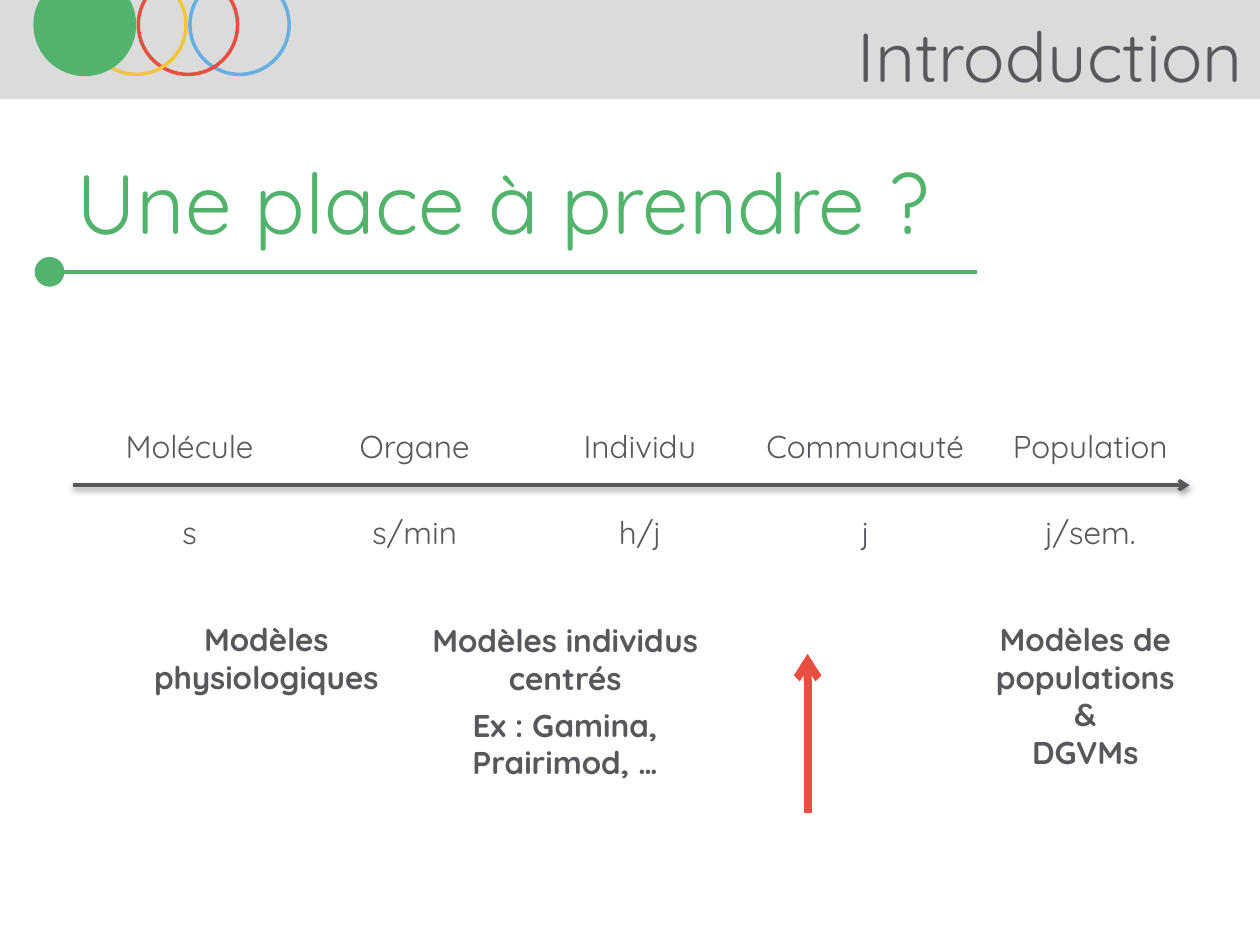
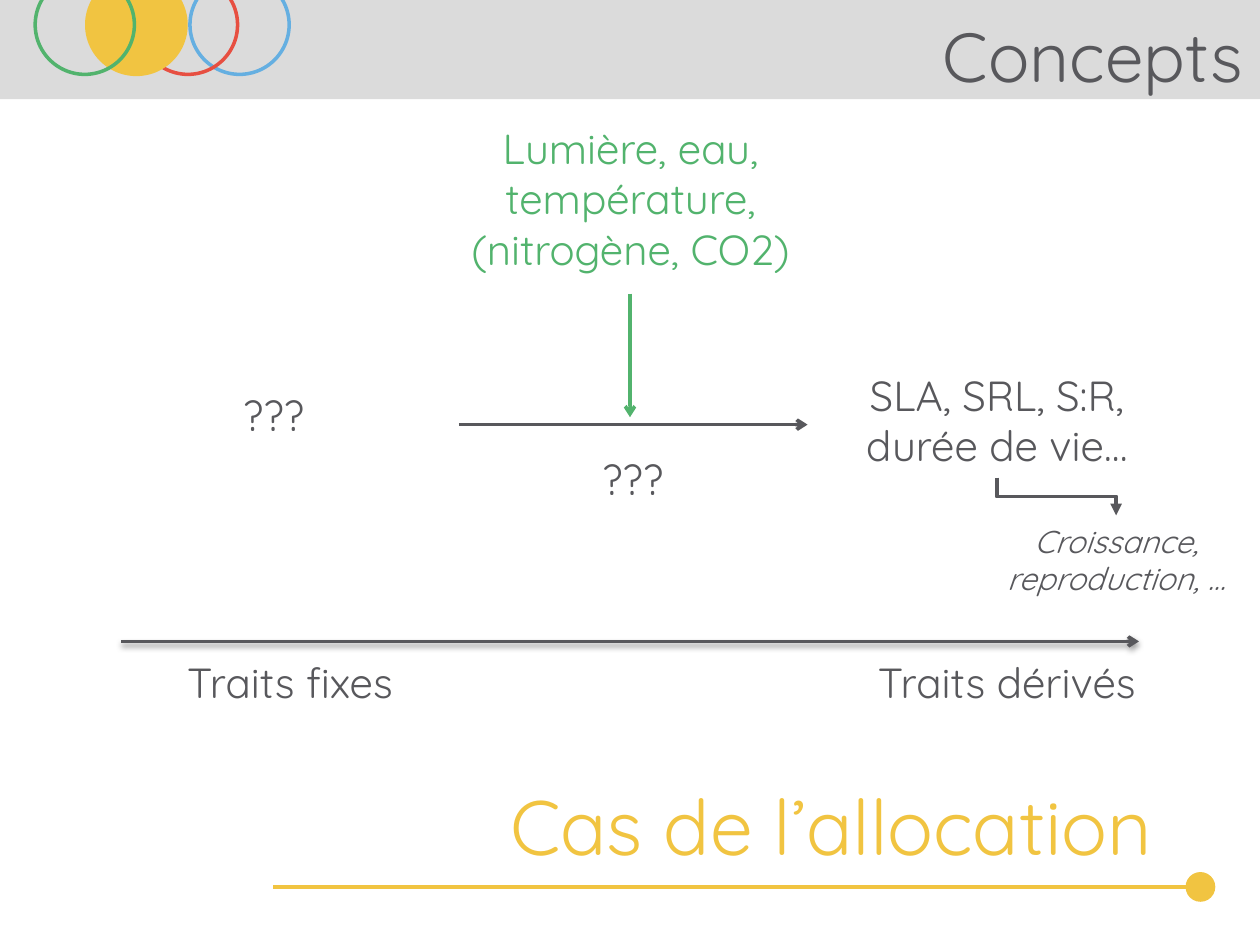
from dataclasses import dataclass

from lxml import etree
from pptx import Presentation
from pptx import util as u
from pptx.dml.color import RGBColor
from pptx.enum import shapes, text
from pptx.oxml import ns

# Shared style
FONT = "Quicksand"
WHITE = RGBColor(0xFF, 0xFF, 0xFF)
BAND_GREY = RGBColor(0xDB, 0xDB, 0xDB)
INK = RGBColor(0x58, 0x58, 0x5C)
GREEN = RGBColor(0x52, 0xB3, 0x6D)
YELLOW = RGBColor(0xF1, 0xC4, 0x41)
RED = RGBColor(0xE7, 0x4F, 0x41)
BLUE = RGBColor(0x65, 0xAF, 0xE1)
SECTION_COLOURS = (GREEN, YELLOW, RED, BLUE)

SLIDE_WIDTH, SLIDE_HEIGHT = 25.4, 19.05
CIRCLE_LEFT, CIRCLE_PITCH, CIRCLE_SIZE = 0.71, 1.04, 2.0
DOT_SIZE = 0.6

LEFT, CENTRE, RIGHT = text.PP_ALIGN.LEFT, text.PP_ALIGN.CENTER, text.PP_ALIGN.RIGHT


# All positions below are in centimetres
@dataclass(frozen=True)
class Label:
    words: str
    left: float
    top: float
    width: float
    height: float
    size: float = 24
    colour: RGBColor = INK
    bold: bool = False
    italic: bool = False


@dataclass(frozen=True)
class Arrow:
    start: tuple[float, float]
    end: tuple[float, float]
    colour: RGBColor = INK
    weight: float = 2
    head: str | None = "arrow"
    shadow: bool = False


@dataclass(frozen=True)
class Stage:
    name: str
    name_width: float
    timescale: str
    timescale_width: float


def add_text(slide, words: str, left: float, top: float, width: float, height: float, *,
             size: float = 24, colour: RGBColor = INK, bold: bool = False,
             italic: bool = False, align=CENTRE, anchor=text.MSO_ANCHOR.TOP) -> None:
    box = slide.shapes.add_textbox(u.Cm(left), u.Cm(top), u.Cm(width), u.Cm(height))
    frame = box.text_frame
    frame.word_wrap = True
    frame.vertical_anchor = anchor
    frame.text = words
    for paragraph in frame.paragraphs:
        paragraph.alignment = align
        for run in paragraph.runs:
            run.font.name = FONT
            run.font.size = u.Pt(size)
            run.font.color.rgb = colour
            run.font.bold = bold
            run.font.italic = italic


def add_label(slide, label: Label) -> None:
    add_text(slide, label.words, label.left, label.top, label.width, label.height,
             size=label.size, colour=label.colour, bold=label.bold, italic=label.italic)


def add_shape(slide, kind, left: float, top: float, width: float, height: float, *,
              fill: RGBColor | None = None, line: RGBColor | None = None) -> None:
    shape = slide.shapes.add_shape(kind, u.Cm(left), u.Cm(top), u.Cm(width), u.Cm(height))
    shape.shadow.inherit = False
    if fill is None:
        shape.fill.background()
    else:
        shape.fill.solid()
        shape.fill.fore_color.rgb = fill
    if line is None:
        shape.line.fill.background()
    else:
        shape.line.color.rgb = line
        shape.line.width = u.Pt(2)


def add_arrow(slide, arrow: Arrow, kind=shapes.MSO_CONNECTOR.STRAIGHT):
    ends = [u.Cm(value) for value in (*arrow.start, *arrow.end)]
    connector = slide.shapes.add_connector(kind, *ends)
    connector.line.color.rgb = arrow.colour
    connector.line.width = u.Pt(arrow.weight)
    properties = connector._element.spPr
    if arrow.head:
        outline = properties.find(ns.qn("a:ln"))
        etree.SubElement(outline, ns.qn("a:tailEnd"), type=arrow.head)
    effects = etree.SubElement(properties, ns.qn("a:effectLst"))
    if arrow.shadow:
        shadow = etree.SubElement(effects, ns.qn("a:outerShdw"), blurRad="40000",
                                  dist="20000", dir="5400000", rotWithShape="0")
        black = etree.SubElement(shadow, ns.qn("a:srgbClr"), val="000000")
        etree.SubElement(black, ns.qn("a:alpha"), val="38000")
    return connector


def add_down_elbow(slide, start: tuple[float, float], end: tuple[float, float]) -> None:
    """Elbow that leaves and arrives vertically: a mirrored one turned by 270 degrees."""
    centre_x, centre_y = (start[0] + end[0]) / 2, (start[1] + end[1]) / 2
    half_run, half_drop = (end[0] - start[0]) / 2, (end[1] - start[1]) / 2
    turned = Arrow((centre_x + half_drop, centre_y - half_run),
                   (centre_x - half_drop, centre_y + half_run),
                   weight=2.25, head="triangle")
    connector = add_arrow(slide, turned, shapes.MSO_CONNECTOR.ELBOW)
    connector._element.spPr.find(ns.qn("a:xfrm")).set("rot", "16200000")


def add_section_slide(presentation, title: str, section: int):
    """Blank slide with the grey band, the title and the current section's circle filled."""
    slide = presentation.slides.add_slide(presentation.slide_layouts[6])
    slide.background.fill.solid()
    slide.background.fill.fore_color.rgb = WHITE
    add_shape(slide, shapes.MSO_SHAPE.RECTANGLE, 0, 0, SLIDE_WIDTH, 2, fill=BAND_GREY)
    add_text(slide, title, 14.25, 0.25, 11.05, 1.7, size=39.6, align=RIGHT,
             anchor=text.MSO_ANCHOR.MIDDLE)
    for index, colour in reversed(list(enumerate(SECTION_COLOURS))):
        add_shape(slide, shapes.MSO_SHAPE.OVAL, CIRCLE_LEFT + index * CIRCLE_PITCH, -0.5,
                  CIRCLE_SIZE, CIRCLE_SIZE, line=colour,
                  fill=colour if index == section else None)
    return slide


def add_headline(slide, words: str, left: float, top: float, *, size: float,
                 colour: RGBColor, align, dot_left: float, rule_y: float,
                 rule_ends: tuple[float, float]) -> None:
    """Large heading underlined by a rule that ends in a dot."""
    add_text(slide, words, left, top, 19.4, 2, size=size, colour=colour, align=align)
    add_shape(slide, shapes.MSO_SHAPE.OVAL, dot_left, rule_y - DOT_SIZE / 2,
              DOT_SIZE, DOT_SIZE, fill=colour)
    add_arrow(slide, Arrow((rule_ends[0], rule_y), (rule_ends[1], rule_y),
                           colour, 2.25, head=None))


# Introduction: scales of organisation and their models
STAGE_CENTRE, STAGE_PITCH = 3.82, 4.54
STAGES = (
    Stage("Molécule", 3.89, "s", 3.25),
    Stage("Organe", 4.55, "s/min", 4.55),
    Stage("Individu", 3.43, "h/j", 3.0),
    Stage("Communauté", 5.31, "j", 4.52),
    Stage("Population", 4.01, "j/sem.", 2.82),
)
MODELS = (
    Label("Modèles\nphysiologiques", 2.31, 12.37, 6.12, 1.93, 18, bold=True),
    Label("Modèles individus centrés", 8.41, 12.4, 5.97, 1.8, 18, bold=True),
    Label("Ex : Gamina,\nPrairimod, …", 8.41, 14.1, 5.97, 1.8, 18, bold=True),
    Label("Modèles de populations &\nDGVMs", 19.76, 12.37, 4.24, 3.33, 18, bold=True),
)


def build_introduction(presentation) -> None:
    slide = add_section_slide(presentation, "Introduction", 0)
    add_headline(slide, "Une place à prendre ?", 1.3, 2.92, size=48, colour=GREEN,
                 align=LEFT, dot_left=0.7, rule_y=5.48, rule_ends=(1.3, 19.7))
    add_arrow(slide, Arrow((1.47, 9.78), (23.98, 9.78), shadow=True))
    for index, stage in enumerate(STAGES):
        centre = STAGE_CENTRE + index * STAGE_PITCH
        for words, width, top in ((stage.name, stage.name_width, 8.48),
                                  (stage.timescale, stage.timescale_width, 10.21)):
            add_text(slide, words, centre - width / 2, top, width, 1.12, size=18)
    for model in MODELS:
        add_label(slide, model)
    # The gap at community level
    add_arrow(slide, Arrow((16.28, 16.38), (16.28, 13.18), RED, 4.5))


# Concepts: from fixed traits to derived traits
CONCEPT_LABELS = (
    Label("Traits fixes", 2.44, 13.11, 6.81, 1.27),
    Label("Traits dérivés", 16.69, 13.11, 7.21, 1.27),
    Label("???", 2.11, 7.72, 6.81, 1.27),
    Label("SLA, SRL, S:R, durée de vie…", 16.69, 7.32, 6.81, 2.31),
    Label("???", 9.02, 9.02, 7.47, 1.27),
    Label("Lumière, eau, température, (nitrogène, CO2)", 8.61, 2.34, 8.2, 3.33, colour=GREEN),
    Label("Croissance, reproduction, …", 19.1, 10.39, 6.81, 1.8, 18, italic=True),
)
CONCEPT_ARROWS = (
    Arrow((2.44, 12.93), (22.96, 12.93), shadow=True),
    Arrow((9.25, 8.56), (16.28, 8.56)),
    Arrow((12.7, 5.92), (12.7, 8.41), GREEN),
)


def build_concepts(presentation) -> None:
    slide = add_section_slide(presentation, "Concepts", 1)
    add_headline(slide, "Cas de l’allocation", 4.09, 15.57, size=44, colour=YELLOW,
                 align=RIGHT, dot_left=23.9, rule_y=17.88, rule_ends=(23.9, 5.51))
    for arrow in CONCEPT_ARROWS:
        add_arrow(slide, arrow)
    for label in CONCEPT_LABELS:
        add_label(slide, label)
    add_down_elbow(slide, (20.09, 9.63), (22.5, 10.39))


def main() -> None:
    presentation = Presentation()
    presentation.slide_width = u.Cm(SLIDE_WIDTH)
    presentation.slide_height = u.Cm(SLIDE_HEIGHT)
    build_introduction(presentation)
    build_concepts(presentation)
    presentation.save("out.pptx")


if __name__ == "__main__":
    main()
